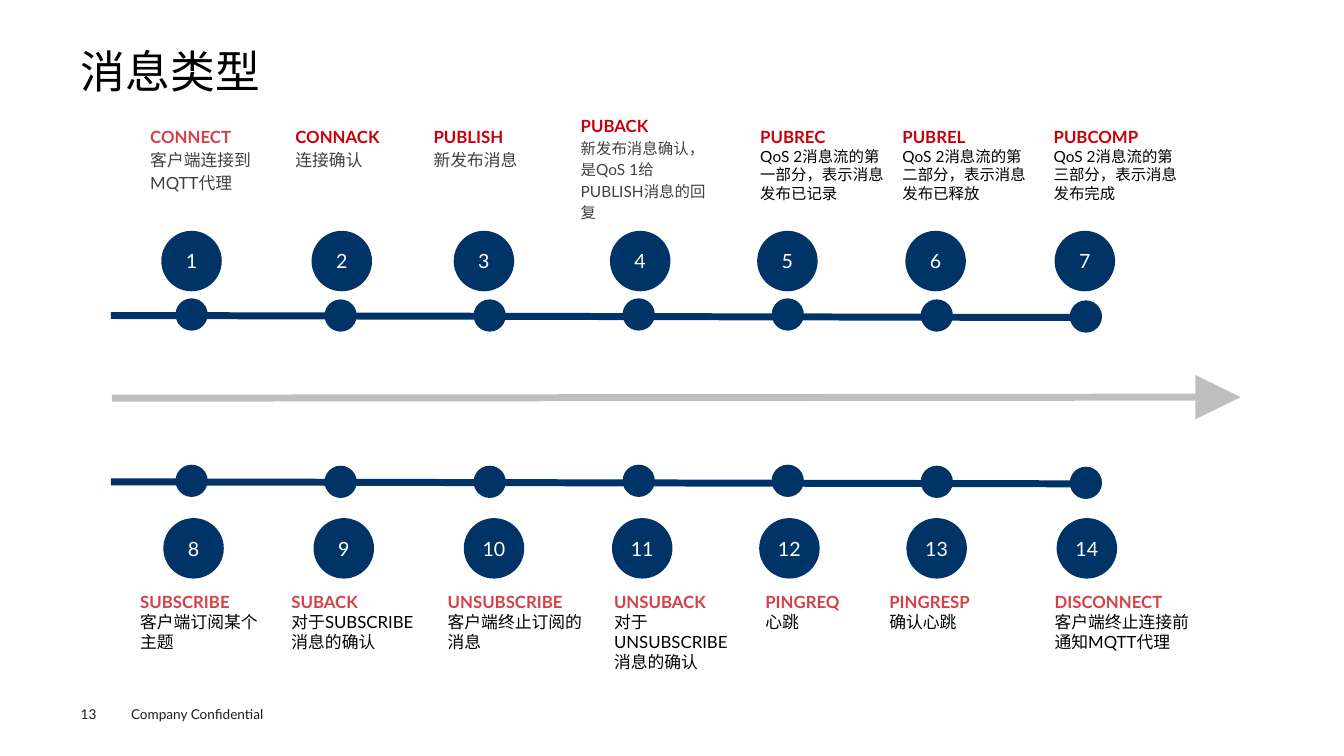
from dataclasses import dataclass

from lxml.etree import SubElement
from pptx import Presentation
from pptx.dml.color import RGBColor
from pptx.enum.shapes import MSO_CONNECTOR, MSO_SHAPE
from pptx.enum.text import MSO_ANCHOR, MSO_AUTO_SIZE, PP_ALIGN
from pptx.oxml.ns import qn
from pptx.shapes.autoshape import Shape
from pptx.slide import Slide
from pptx.text.text import TextFrame, _Paragraph as Paragraph
from pptx.util import Inches, Pt

FONT = "Lato"
NAVY, RED, GREY, BLACK, WHITE = "003366", "C7000B", "BFBFBF", "000000", "FFFFFF"
FOOTER_INK = "1D1D1B"
FIRST_DOT, LAST_DOT = 1.9, 10.77
DOT_SIZE, DISC_SIZE = 0.32, 0.6
DOT_SHIFTS = (0, 0.01, 0.01, 0, 0, 0.01, 0.02)


@dataclass
class Message:
    name: str
    body: str
    left: float
    width: float
    height: float
    disc_x: float
    size: int = 12
    soft_name: bool = False
    soft_body: bool = False


@dataclass
class Timeline:
    messages: list[Message]
    first_number: int
    dot_y: float
    disc_y: float
    text_top: float


CLIENT_AND_PUBLISH = Timeline([
    Message("CONNECT", "客户端连接到\nMQTT代理", 1.49, 1.21, 0.7, 1.9, soft_name=True, soft_body=True),
    Message("CONNACK", "连接确认", 2.93, 1.21, 0.47, 3.39, soft_body=True),
    Message("PUBLISH", "新发布消息", 4.3, 1.21, 0.47, 4.8, soft_body=True),
    Message("PUBACK", "新发布消息确认，是QoS 1给PUBLISH消息的回复", 5.76, 1.3, 0.88, 6.35, 11, soft_body=True),
    Message("PUBREC", "QoS 2消息流的第一部分，表示消息发布已记录", 7.54, 1.28, 0.79, 7.81, 11),
    Message("PUBREL", "QoS 2消息流的第二部分，表示消息发布已释放", 8.95, 1.28, 0.79, 9.28, 11),
    Message("PUBCOMP", "QoS 2消息流的第三部分，表示消息发布完成", 10.45, 1.28, 0.79, 10.76, 11),
], first_number=1, dot_y=3.12, disc_y=2.59, text_top=1.22)

SUBSCRIBE_AND_PING = Timeline([
    Message("SUBSCRIBE", "客户端订阅某个主题", 1.39, 1.21, 0.64, 1.92, soft_name=True),
    Message("SUBACK", "对于SUBSCRIBE消息的确认", 2.89, 1.31, 0.64, 3.41, soft_name=True),
    Message("UNSUBSCRIBE", "客户端终止订阅的消息", 4.44, 1.49, 0.64, 4.9, soft_name=True),
    Message("UNSUBACK", "对于UNSUBSCRIBE消息的确认", 6.09, 1.23, 0.84, 6.37, soft_name=True),
    Message("PINGREQ", "心跳", 7.59, 1.49, 0.44, 7.83, soft_name=True),
    Message("PINGRESP", "确认心跳", 8.82, 1.49, 0.44, 9.29, soft_name=True),
    Message("DISCONNECT", "客户端终止连接前通知MQTT代理", 10.46, 1.49, 0.64, 10.78, soft_name=True),
], first_number=8, dot_y=4.77, disc_y=5.44, text_top=5.83)


def rgb(value: str) -> RGBColor:
    return RGBColor.from_string(value)


def style(paragraph: Paragraph, size: float, color: str, bold: bool = False,
          soft: bool = False, spacing: float = 1.0) -> None:
    """Format every run of the paragraph; soft text is 75 % opaque."""
    paragraph.line_spacing = spacing
    for run in paragraph.runs:
        run.font.name = FONT
        run.font.size = Pt(size)
        run.font.bold = bold
        run.font.color.rgb = rgb(color)
        if soft:
            ink = run.font._element.find(".//" + qn("a:srgbClr"))
            SubElement(ink, qn("a:alpha"), val="75000")


def clear_margins(frame: TextFrame) -> None:
    frame.margin_left = frame.margin_right = frame.margin_top = frame.margin_bottom = 0


def add_text(slide: Slide, text: str, left: float, top: float,
             width: float, height: float) -> TextFrame:
    box = slide.shapes.add_textbox(Inches(left), Inches(top), Inches(width), Inches(height))
    frame = box.text_frame
    frame.word_wrap = True
    clear_margins(frame)
    frame.text = text
    return frame


def add_solid(slide: Slide, kind: MSO_SHAPE, center_x: float, center_y: float,
              width: float, height: float, color: str) -> Shape:
    solid = slide.shapes.add_shape(kind, Inches(center_x - width / 2), Inches(center_y - height / 2),
                                   Inches(width), Inches(height))
    solid.shadow.inherit = False
    solid.fill.solid()
    solid.fill.fore_color.rgb = rgb(color)
    solid.line.fill.background()
    return solid


def add_rail(slide: Slide, start: tuple[float, float], end: tuple[float, float], color: str) -> None:
    rail = slide.shapes.add_connector(MSO_CONNECTOR.STRAIGHT, *map(Inches, start + end))
    rail.line.color.rgb = rgb(color)
    rail.line.width = Pt(5)
    SubElement(rail._element.spPr, qn("a:effectLst"))


def add_numbered_disc(slide: Slide, number: int, x: float, y: float) -> None:
    disc = add_solid(slide, MSO_SHAPE.OVAL, x, y, DISC_SIZE, DISC_SIZE, NAVY)
    frame = disc.text_frame
    clear_margins(frame)
    frame.word_wrap = False
    frame.vertical_anchor = MSO_ANCHOR.MIDDLE
    frame.text = str(number)
    frame.paragraphs[0].alignment = PP_ALIGN.CENTER
    style(frame.paragraphs[0], 14, WHITE)


def add_message(slide: Slide, message: Message, top: float) -> None:
    frame = add_text(slide, f"{message.name}\n{message.body}",
                     message.left, top, message.width, message.height)
    frame.vertical_anchor = MSO_ANCHOR.MIDDLE
    frame.auto_size = MSO_AUTO_SIZE.SHAPE_TO_FIT_TEXT
    name, *body = frame.paragraphs
    style(name, 12, RED, bold=True, soft=message.soft_name, spacing=1.16)
    for paragraph in body:
        style(paragraph, message.size, BLACK, soft=message.soft_body,
              spacing=1.16 if message.soft_body else 1.0)


def add_timeline(slide: Slide, timeline: Timeline) -> None:
    add_rail(slide, (1.1, timeline.dot_y + 0.01), (LAST_DOT, timeline.dot_y + 0.03), NAVY)
    pitch = (LAST_DOT - FIRST_DOT) / (len(timeline.messages) - 1)
    for index, (message, shift) in enumerate(zip(timeline.messages, DOT_SHIFTS)):
        add_solid(slide, MSO_SHAPE.OVAL, FIRST_DOT + index * pitch, timeline.dot_y + shift,
                  DOT_SIZE, DOT_SIZE, NAVY)
        add_numbered_disc(slide, timeline.first_number + index, message.disc_x, timeline.disc_y)
        add_message(slide, message, timeline.text_top)


def main() -> None:
    deck = Presentation()
    deck.slide_width, deck.slide_height = Inches(13.33), Inches(7.5)
    slide = deck.slides.add_slide(deck.slide_layouts[6])

    title = add_text(slide, "消息类型", 0.8, 0.49, 11.73, 0.54)
    style(title.paragraphs[0], 32, BLACK, spacing=0.9)

    add_rail(slide, (1.11, 3.95), (12.02, 3.94), GREY)
    arrowhead = add_solid(slide, MSO_SHAPE.ISOSCELES_TRIANGLE, 12.08, 3.94, 0.44, 0.45, GREY)
    arrowhead.rotation = 90

    for timeline in (CLIENT_AND_PUBLISH, SUBSCRIBE_AND_PING):
        add_timeline(slide, timeline)

    page_number = add_text(slide, "13", 0.8, 7, 0.55, 0.16)
    confidentiality = add_text(slide, "Company Confidential", 1.3, 7, 1.4, 0.16)
    for footer in (page_number, confidentiality):
        style(footer.paragraphs[0], 9.7, FOOTER_INK)

    deck.save("out.pptx")


if __name__ == "__main__":
    main()
